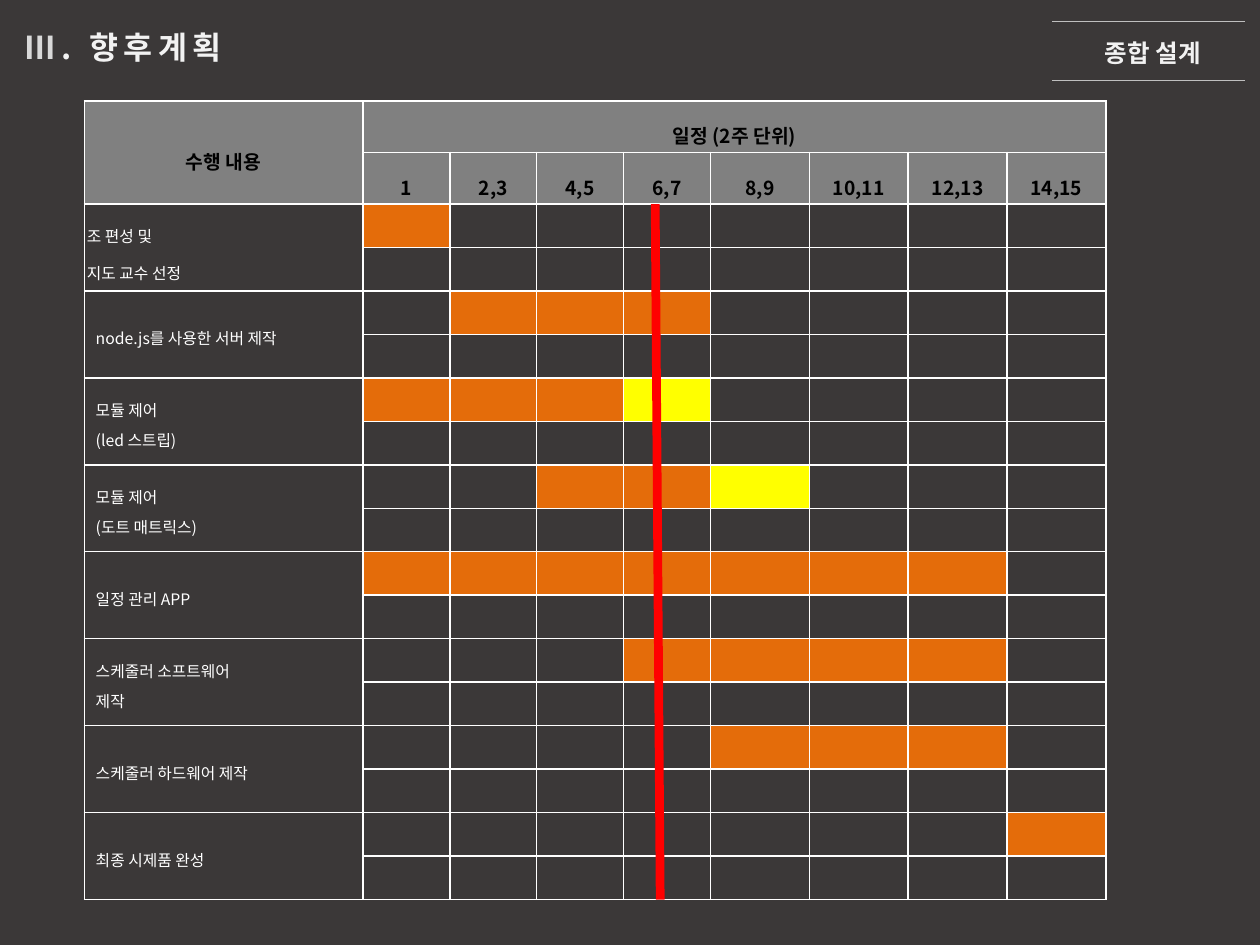
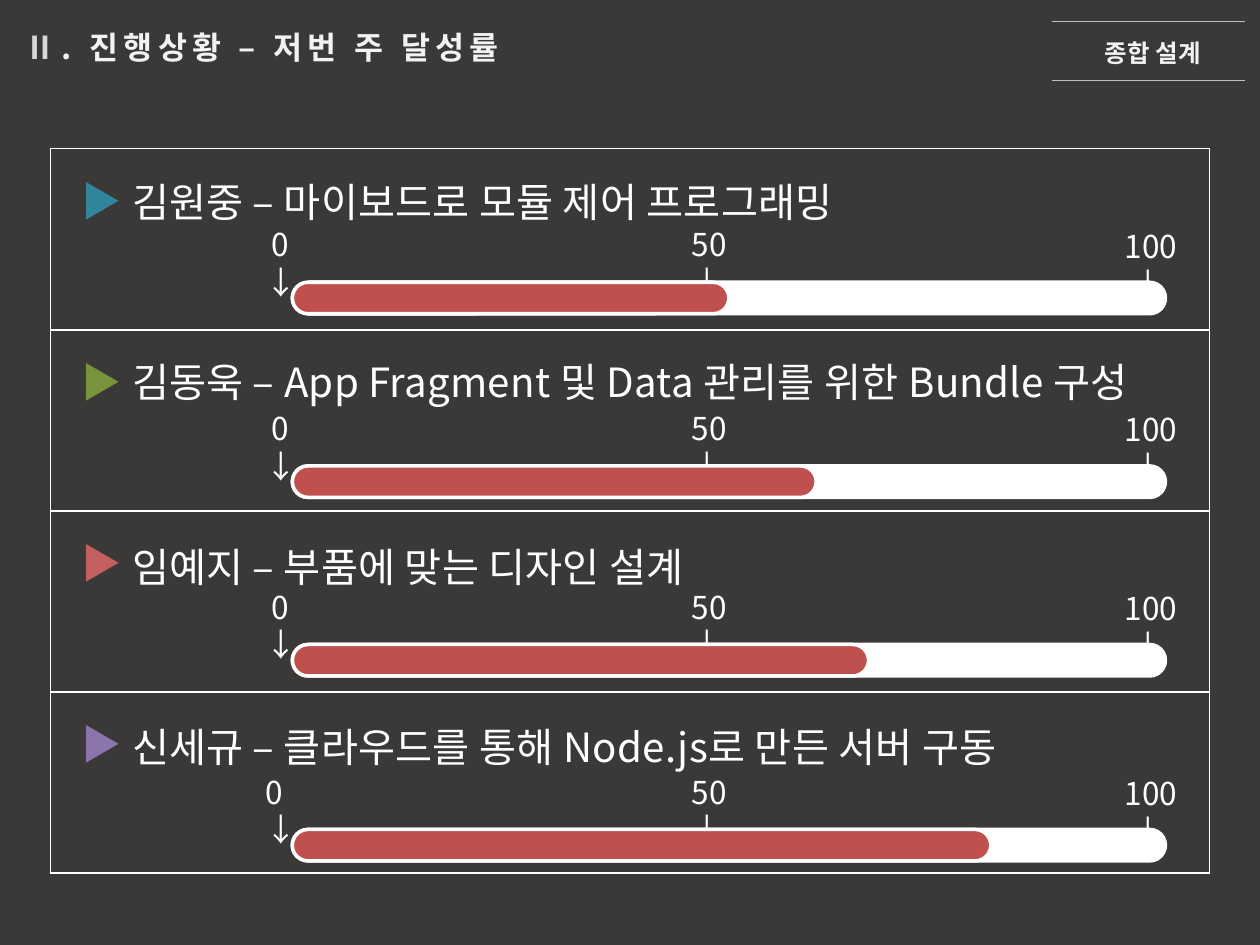
from dataclasses import dataclass

from lxml.etree import SubElement
from pptx import Presentation
from pptx.dml.color import RGBColor
from pptx.enum.shapes import MSO_CONNECTOR, MSO_SHAPE
from pptx.enum.text import MSO_ANCHOR, MSO_AUTO_SIZE, PP_ALIGN
from pptx.oxml.ns import qn
from pptx.util import Inches, Pt


@dataclass(frozen=True)
class Theme:
    font: str = "Noto Sans CJK KR"
    back: str = "3B3838"
    white: str = "FFFFFF"
    pale: str = "F2F2F2"
    number: str = "D9D9D9"
    rule: str = "BFBFBF"
    head: str = "808080"
    black: str = "000000"
    plan: str = "E46C0A"
    late: str = "FFFF00"
    today: str = "FF0000"
    bar: str = "C0504D"
    title: int = 18
    tag: int = 14
    heading: int = 11
    cell: int = 9
    task: int = 23
    scale: int = 18


THEME = Theme()
WIDTH, HEIGHT = Inches(10), Inches(7.5)
UNIT = WIDTH / 100  # the slide is a grid of 100 columns by 75 rows


@dataclass(frozen=True)
class Box:
    """A region in grid columns and rows."""
    x: float
    y: float
    w: float
    h: float

    def cut(self, x, y, w, h):
        return Box(self.x + x, self.y + y, w, h)

    def emu(self):
        return [round(n * UNIT) for n in (self.x, self.y, self.w, self.h)]


PAGE = Box(0, 0, 100, 75)
WEEKS = ["1", "2,3", "4,5", "6,7", "8,9", "10,11", "12,13", "14,15"]
# Task, first planned column, end of plan, end of delay
TASKS = [
    ("조 편성 및\n지도 교수 선정", 0, 1, 1),
    ("node.js를 사용한 서버 제작", 1, 4, 4),
    ("모듈 제어\n(led 스트립)", 0, 3, 4),
    ("모듈 제어\n(도트 매트릭스)", 2, 4, 5),
    ("일정 관리 APP", 0, 7, 7),
    ("스케줄러 소프트웨어\n제작", 3, 7, 7),
    ("스케줄러 하드웨어 제작", 4, 7, 7),
    ("최종 시제품 완성", 7, 8, 8),
]
# Work, marker colour, share done, top of text, top of scale, indent of zero
MEMBERS = [
    ("김원중 – 마이보드로 모듈 제어 프로그래밍", "31859C", 0.5, 1.8, 5.6, 2.2),
    ("김동욱 – App Fragment 및 Data 관리를 위한 Bundle 구성",
     "77933C", 0.6, 1.7, 5.8, 2.2),
    ("임예지 – 부품에 맞는 디자인 설계", "C6605E", 0.66, 2, 5.6, 2.2),
    ("신세규 – 클라우드를 통해 Node.js로 만든 서버 구동",
     "8D75AB", 0.8, 1.9, 5.9, 1.7),
]


def color(code):
    return RGBColor.from_string(code)


def style(run, size, code, bold=False, gap=0):
    font = run.font
    font.name, font.size, font.bold = THEME.font, Pt(size), bold
    font.color.rgb = color(code)
    props = run._r.get_or_add_rPr()
    SubElement(props, qn("a:ea"), typeface=THEME.font)
    if gap:
        props.set("spc", str(round(gap * 100)))


def indent(para, cols):
    para._p.get_or_add_pPr().set("marL", str(round(cols * UNIT)))


def label(shapes, box, text, size, code, bold=False, gap=0, wrap=True):
    frame = shapes.add_textbox(*box.emu()).text_frame
    frame.word_wrap = wrap
    frame.auto_size = MSO_AUTO_SIZE.SHAPE_TO_FIT_TEXT
    frame.text = text
    for para in frame.paragraphs:
        for run in para.runs:
            style(run, size, code, bold, gap)
    return frame


def line(shapes, box, code, width):
    x, y, w, h = box.emu()
    rule = shapes.add_connector(MSO_CONNECTOR.STRAIGHT, x, y, x + w, y + h)
    rule.line.color.rgb = color(code)
    rule.line.width = Pt(width)
    SubElement(rule._element.spPr, qn("a:effectLst"))


def pill(shapes, box, code):
    shape = shapes.add_shape(MSO_SHAPE.ROUNDED_RECTANGLE, *box.emu())
    shape.adjustments[0] = 0.5
    shape.shadow.inherit = False
    shape.fill.solid()
    shape.fill.fore_color.rgb = color(code)
    shape.line.color.rgb = color(THEME.white)
    shape.line.width = Pt(2)


def paint(cell, code=None):
    """Give a cell white borders and a fill, or none."""
    props = cell._tc.get_or_add_tcPr()
    for side in ("lnL", "lnR", "lnT", "lnB"):
        edge = SubElement(props, qn(f"a:{side}"), w=str(Pt(1)))
        fill = SubElement(edge, qn("a:solidFill"))
        SubElement(fill, qn("a:srgbClr"), val=THEME.white)
    if code:
        cell.fill.solid()
        cell.fill.fore_color.rgb = color(code)
    else:
        cell.fill.background()


def grid(slide, box, cols, rows):
    table = slide.shapes.add_table(len(rows), len(cols), *box.emu()).table
    table.first_row = table.horz_banding = False
    for col, size in zip(table.columns, cols):
        col.width = round(size * UNIT)
    for row, size in zip(table.rows, rows):
        row.height = round(size * UNIT)
    return table


def write(cell, text, size, code, align, space, bold=False, inset=0):
    cell.text_frame.text = text
    for para in cell.text_frame.paragraphs:
        para.alignment, para.line_spacing = align, space
        indent(para, inset)
        for run in para.runs:
            style(run, size, code, bold)


def header(slide, box, number, title):
    # Section title
    frame = label(slide.shapes, box.cut(1, 1.7, 51, 4), number,
                  THEME.title, THEME.number, True, 3)
    run = frame.paragraphs[0].add_run()
    run.text = f". {title}"
    style(run, THEME.title, THEME.pale, True, 3)
    # Course tag between two rules
    tag = slide.shapes.add_group_shape().shapes
    frame = label(tag, box.cut(86, 2.5, 10.3, 3.4), "종합 설계",
                  THEME.tag, THEME.pale, True, wrap=False)
    frame.paragraphs[0].alignment = PP_ALIGN.RIGHT
    for y in (1.7, 6.4):
        line(tag, box.cut(83.5, y, 15.3, 0), THEME.rule, 0.75)


def schedule(slide, box):
    first, narrow, top = 22.1, 6.9, 4.1
    wide = (box.w - first - 4 * narrow) / 4
    count = 2 * len(TASKS)
    table = grid(slide, box, [first] + [narrow] * 4 + [wide] * 4,
                 [top] * 2 + [(box.h - 2 * top) / count] * count)
    # Fills by row and column
    fills = {(r, c): THEME.head for r in range(2) for c in range(9)}
    for i, (_, start, end, delay) in enumerate(TASKS):
        for week in range(start, delay):
            fills[2 + 2 * i, week + 1] = THEME.plan if week < end else THEME.late
    for r in range(count + 2):
        for c in range(9):
            cell = table.cell(r, c)
            cell.vertical_anchor = MSO_ANCHOR.MIDDLE
            cell.margin_left = cell.margin_right = Inches(0.02)
            cell.margin_top = cell.margin_bottom = Inches(0.02)
            paint(cell, fills.get((r, c)))
            if r > 1 and c:
                SubElement(cell.text_frame.paragraphs[0]._p,
                           qn("a:endParaRPr"), sz=str(THEME.cell * 100))
    # Headings
    table.cell(0, 0).merge(table.cell(1, 0))
    table.cell(0, 1).merge(table.cell(0, 8))
    heads = [(0, 0, "수행 내용"), (0, 1, "일정 (2주 단위)")]
    heads += [(1, c, week) for c, week in enumerate(WEEKS, 1)]
    for r, c, text in heads:
        write(table.cell(r, c), text, THEME.heading, THEME.black,
              PP_ALIGN.CENTER, 1.6, True)
    # Task names
    for i, (text, *_) in enumerate(TASKS):
        r = 2 + 2 * i
        table.cell(r, 0).merge(table.cell(r + 1, 0))
        space, inset = (1.3, 0.7) if i else (1.6, 0)
        write(table.cell(r, 0), text, THEME.cell, THEME.white,
              PP_ALIGN.JUSTIFY, space, inset=inset)
    # Today
    line(slide.shapes, box.cut(45.3, 2 * top, 0.4, box.h - 2 * top),
         THEME.today, 5)


def tick(shapes, box, text, inset):
    frame = label(shapes, box, f"{text}\n↓", THEME.scale, THEME.white)
    for para, cols in zip(frame.paragraphs, (inset, 1.7)):
        indent(para, cols)


def member(slide, box, text, code, share, top, scale, zero):
    shapes = slide.shapes
    # The middle tick lies under the bars
    tick(shapes, box.cut(48.2, scale, 10.5, 10.1), "50", 1.7)
    # Marker and work
    label(shapes, box.cut(5.5, top, 81, 4.9), text,
          THEME.task, THEME.white, gap=0.1)
    label(shapes, box.cut(1.5, 1.7, 7.9, 4.9), "▶", THEME.task, code)
    # Progress bar
    full = 69.3
    for size, fill in ((full, THEME.white), (full * share, THEME.bar)):
        pill(shapes, box.cut(19.2, scale + 5, size, 2.5), fill)
    # End ticks
    tick(shapes, box.cut(83.2, scale + 0.1, 10.5, 10.1), "100", 1.1)
    tick(shapes, box.cut(14.4, scale, 10.5, 10.1), "0", zero)


def progress(slide, box):
    step = box.h / len(MEMBERS)
    table = grid(slide, box, [box.w], [step] * len(MEMBERS))
    for i, data in enumerate(MEMBERS):
        paint(table.cell(i, 0))
        member(slide, box.cut(0, i * step, box.w, step), *data)


def page(deck, number, title, body, box):
    slide = deck.slides.add_slide(deck.slide_layouts[6])
    slide.background.fill.solid()
    slide.background.fill.fore_color.rgb = color(THEME.back)
    body(slide, box)
    header(slide, PAGE, number, title)


def main():
    deck = Presentation()
    deck.slide_width, deck.slide_height = WIDTH, HEIGHT
    page(deck, "Ⅲ", "향후계획", schedule, PAGE.cut(6.7, 8, 81.1, 63.4))
    page(deck, "Ⅱ", "진행상황 – 저번 주 달성률", progress,
         PAGE.cut(4, 11.8, 92, 57.5))
    deck.save("out.pptx")


if __name__ == "__main__":
    main()
